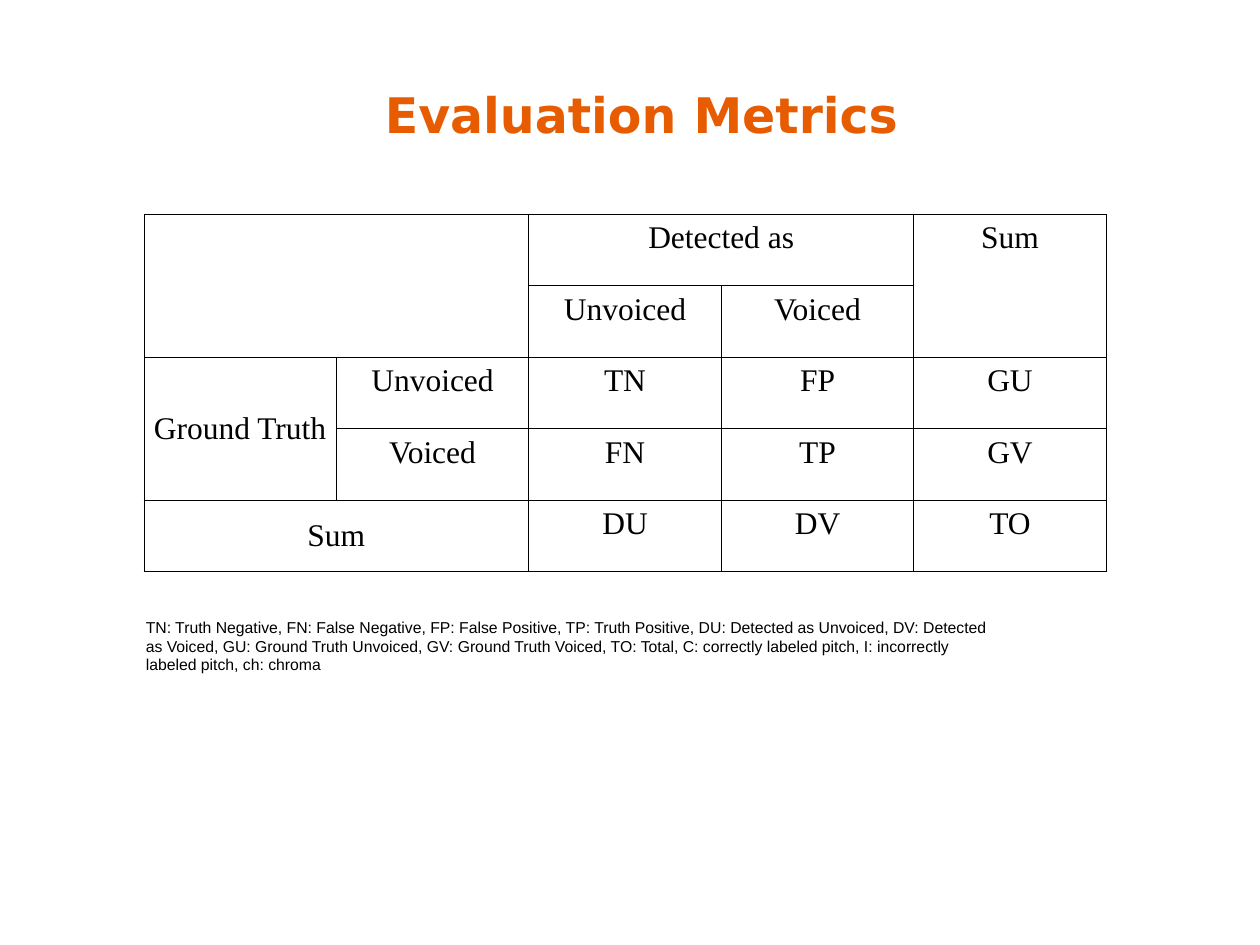
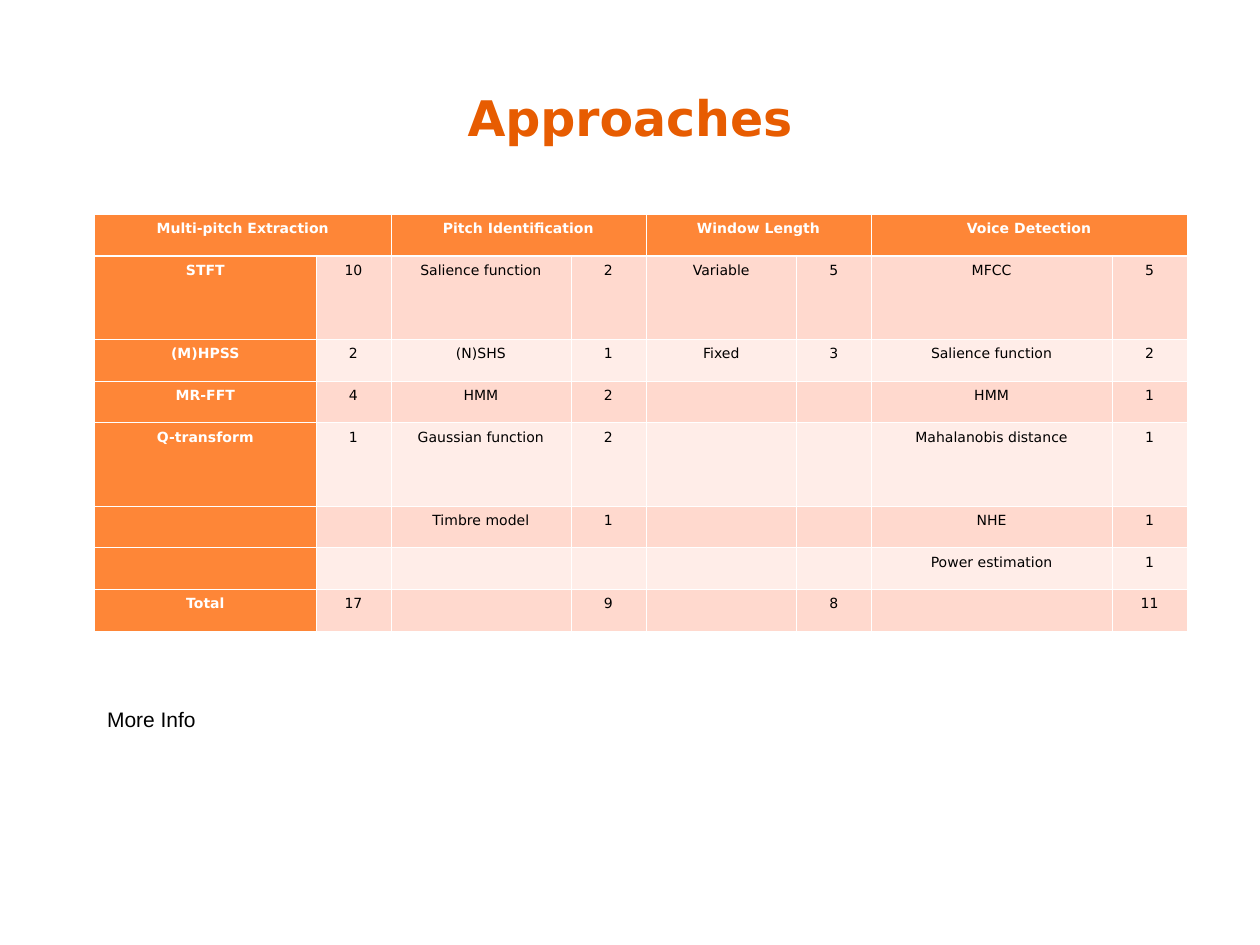
from lxml import etree
from pptx import Presentation
from pptx.dml.color import RGBColor
from pptx.enum.text import MSO_ANCHOR, PP_ALIGN
from pptx.oxml.ns import qn
from pptx.util import Cm, Pt

CENTER, LEFT = PP_ALIGN.CENTER, PP_ALIGN.LEFT
TOP, MIDDLE = MSO_ANCHOR.TOP, MSO_ANCHOR.MIDDLE

BLACK = RGBColor(0x00, 0x00, 0x00)
WHITE = RGBColor(0xFF, 0xFF, 0xFF)
TITLE_ORANGE = RGBColor(0xE7, 0x5C, 0x01)
HEADER_ORANGE = RGBColor(0xFE, 0x86, 0x37)
BAND_DARK = RGBColor(0xFF, 0xD9, 0xCE)
BAND_LIGHT = RGBColor(0xFF, 0xED, 0xE8)

SANS, SERIF, BODY = "DejaVu Sans", "Times New Roman", "Arial"
THIN, THICK = Pt(0.45), Pt(1.47)
TABLE_TOP = 4.32

CONFUSION = [
    ["", "", "Detected as", "", "Sum"],
    ["", "", "Unvoiced", "Voiced", ""],
    ["Ground Truth", "Unvoiced", "TN", "FP", "GU"],
    ["", "Voiced", "FN", "TP", "GV"],
    ["Sum", "", "DU", "DV", "TO"],
]
CONFUSION_MERGES = [(0, 0, 1, 1), (0, 2, 0, 3), (0, 4, 1, 4),
                    (2, 0, 3, 0), (4, 0, 4, 1)]
ABBREVIATIONS = (
    "TN: Truth Negative, FN: False Negative, FP: False Positive, "
    "TP: Truth Positive, DU: Detected as Unvoiced, DV: Detected as Voiced, "
    "GU: Ground Truth Unvoiced, GV: Ground Truth Voiced, TO: Total, "
    "C: correctly labeled pitch, I: incorrectly labeled pitch, ch: chroma"
)

APPROACHES = [
    ["Multi-pitch Extraction", "", "Pitch Identification", "",
     "Window Length", "", "Voice Detection", ""],
    ["STFT", "10", "Salience function", "2", "Variable", "5", "MFCC", "5"],
    ["(M)HPSS", "2", "(N)SHS", "1", "Fixed", "3", "Salience function", "2"],
    ["MR-FFT", "4", "HMM", "2", "", "", "HMM", "1"],
    ["Q-transform", "1", "Gaussian function", "2", "", "",
     "Mahalanobis distance", "1"],
    ["", "", "Timbre model", "1", "", "", "NHE", "1"],
    ["", "", "", "", "", "", "Power estimation", "1"],
    ["Total", "17", "", "9", "", "8", "", "11"],
]
APPROACH_WIDTHS = [4.46, 1.51, 3.63, 1.51, 3.04, 1.5, 4.86, 1.51]
ROW, TALL_ROW = 0.84, 1.68
APPROACH_HEIGHTS = [ROW, TALL_ROW, ROW, ROW, TALL_ROW, ROW, ROW, ROW]


def style_paragraph(p, font, size, color, bold=False, align=LEFT):
    """Format the runs of a paragraph, or its end mark when it has none."""
    p.alignment = align
    for r in p.runs:
        r.font.name = font
        r.font.size = Pt(size)
        r.font.bold = bold
        r.font.color.rgb = color
    if not p.runs:
        etree.SubElement(p._p, qn("a:endParaRPr"), sz=str(size * 100))


def add_text(s, text, left, top, width, height, font, size, color,
             bold=False, align=LEFT, anchor=TOP):
    """Add a wrapping text box, placed in centimetres."""
    box = s.shapes.add_textbox(Cm(left), Cm(top), Cm(width), Cm(height))
    tf = box.text_frame
    tf.word_wrap = True
    tf.vertical_anchor = anchor
    tf.text = text
    style_paragraph(tf.paragraphs[0], font, size, color, bold, align)


def add_title(s, text, left, top):
    """Add the centred orange slide title."""
    add_text(s, text, left, top, 22.86, 3.18, SANS, 28, TITLE_ORANGE,
             True, CENTER, MIDDLE)


def add_table(s, rows, left, widths, heights, merges):
    """Add an unstyled table with its column widths, row heights and merges."""
    frame = s.shapes.add_table(len(rows), len(widths), Cm(left), Cm(TABLE_TOP),
                               Cm(sum(widths)), Cm(sum(heights)))
    table = frame.table
    table.first_row = table.horz_banding = False
    for column, width in zip(table.columns, widths):
        column.width = Cm(width)
    for row, height in zip(table.rows, heights):
        row.height = Cm(height)
    for top, first, bottom, last in merges:
        table.cell(top, first).merge(table.cell(bottom, last))
    return table


def set_borders(cell, color, top=THIN, bottom=THIN):
    """Draw the four borders of a cell."""
    tcPr = cell._tc.get_or_add_tcPr()
    for side, width in (("L", THIN), ("R", THIN), ("T", top), ("B", bottom)):
        ln = etree.SubElement(tcPr, qn("a:ln" + side), w=str(int(width)))
        fill = etree.SubElement(ln, qn("a:solidFill"))
        etree.SubElement(fill, qn("a:srgbClr"), val=str(color))


def fill_cell(cell, text, margin, font, size, color, bold=False):
    """Put centred text into a cell."""
    cell.margin_left = cell.margin_right = Cm(margin)
    cell.margin_top = cell.margin_bottom = Cm(0.13)
    cell.text = text
    style_paragraph(cell.text_frame.paragraphs[0], font, size, color, bold,
                    CENTER)


def add_confusion_table(s):
    """Add the ruled table of voicing detection outcomes."""
    table = add_table(s, CONFUSION, 2.9, [3.88] * 5, [1.44] * 5,
                      CONFUSION_MERGES)
    for i, row in enumerate(CONFUSION):
        for j, text in enumerate(row):
            cell = table.cell(i, j)
            fill_cell(cell, text, 0.19, SERIF, 18, BLACK)
            set_borders(cell, BLACK)
            cell.fill.background()
            if j == 0:
                cell.vertical_anchor = MIDDLE


def add_approaches_table(s):
    """Add the banded table of approaches and their counts."""
    merges = [(0, j, 0, j + 1) for j in range(0, 8, 2)]
    table = add_table(s, APPROACHES, 1.91, APPROACH_WIDTHS, APPROACH_HEIGHTS,
                      merges)
    for i, row in enumerate(APPROACHES):
        band = BAND_DARK if i % 2 else BAND_LIGHT
        for j, text in enumerate(row):
            cell = table.cell(i, j)
            header = i == 0 or j == 0
            fill_cell(cell, text, 0.15, SANS, 8, WHITE if header else BLACK,
                      header)
            set_borders(cell, WHITE, top=THICK if i == 1 else THIN,
                        bottom=THICK if i == 0 else THIN)
            cell.fill.solid()
            cell.fill.fore_color.rgb = HEADER_ORANGE if header else band


def main():
    """Build the two slides and save them."""
    prs = Presentation()
    prs.slide_width, prs.slide_height = Cm(25.4), Cm(19.05)
    blank = prs.slide_layouts[6]

    s = prs.slides.add_slide(blank)
    add_title(s, "Evaluation Metrics", 1.5, 0.71)
    add_confusion_table(s)
    add_text(s, ABBREVIATIONS, 2.69, 12.32, 17.6, 1.4, BODY, 9, BLACK)

    s = prs.slides.add_slide(blank)
    add_title(s, "Approaches", 1.27, 0.76)
    add_approaches_table(s)
    add_text(s, "More Info", 1.91, 14.12, 3.99, 0.76, BODY, 12, BLACK)

    prs.save("out.pptx")


if __name__ == "__main__":
    main()
